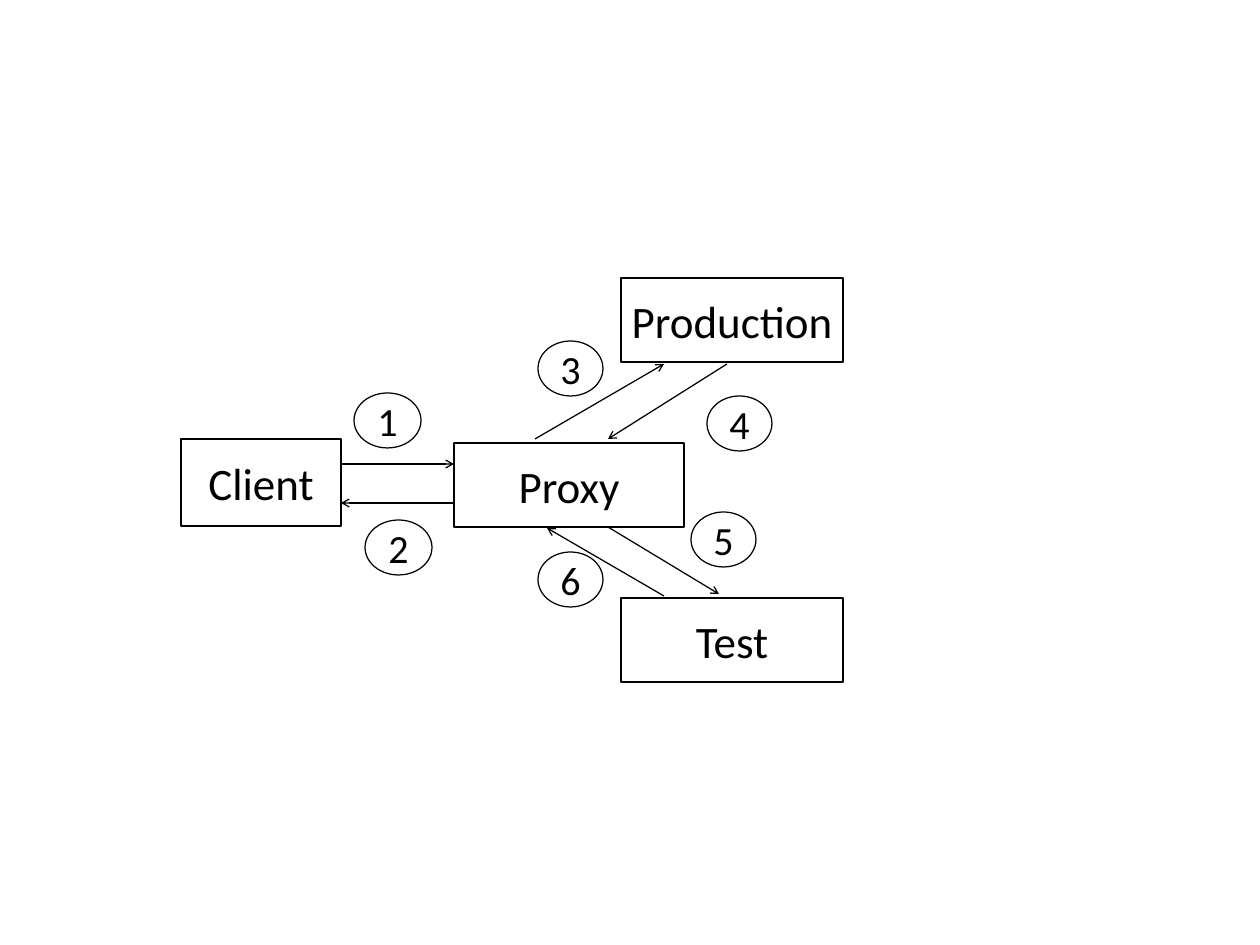
from lxml import etree
from pptx import Presentation
from pptx.dml.color import RGBColor
from pptx.enum.shapes import MSO_CONNECTOR, MSO_SHAPE
from pptx.enum.text import MSO_ANCHOR, PP_ALIGN
from pptx.oxml.ns import qn
from pptx.util import Pt

PX = 10160  # EMU per px, at 90 px to the inch
RECTANGLE, ELLIPSE = MSO_SHAPE.RECTANGLE, MSO_SHAPE.OVAL
STRAIGHT = MSO_CONNECTOR.STRAIGHT
MIDDLE, CENTER = MSO_ANCHOR.MIDDLE, PP_ALIGN.CENTER
COLORS = {"ink": "000000"}
INK = RGBColor.from_string(COLORS["ink"])

deck = Presentation()
deck.slide_width, deck.slide_height = 1260 * PX, 945 * PX
slide = deck.slides.add_slide(deck.slide_layouts[6])


def add_label(text, *, shape, left, top, width, height, size):
    """Add an unfilled outlined shape with centred text."""
    box = slide.shapes.add_shape(shape, left * PX, top * PX, width * PX, height * PX)
    box.shadow.inherit = False
    box.fill.background()
    box.line.color.rgb = INK
    box.line.width = Pt(1)
    frame = box.text_frame
    frame.word_wrap = True
    frame.margin_left = frame.margin_right = 0
    frame.vertical_anchor = MIDDLE
    para = frame.paragraphs[0]
    para.alignment = CENTER
    span = para.add_run()
    span.text = text
    span.font.name = "Calibri"
    span.font.size = Pt(size)
    span.font.color.rgb = INK


# Systems: name, left, top, width, height
systems = [
    ("Client", 181, 439, 160, 87),
    ("Proxy", 454, 443, 230, 84),
    ("Production", 621, 278, 222, 84),
    ("Test", 621, 598, 222, 84),
]
for name, left, top, width, height in systems:
    add_label(name, shape=RECTANGLE, left=left, top=top,
              width=width, height=height, size=36)

# Messages in step order: arrow start, arrow end, number's left, top, width
messages = [
    ((341, 464), (454, 464), 354, 393, 67),
    ((454, 503), (341, 503), 365, 520, 67),
    ((535, 439), (664, 364), 538, 341, 65),
    ((727, 364), (608, 439), 707, 396, 65),
    ((608, 527), (719, 594), 691, 512, 65),
    ((664, 596), (547, 528), 538, 552, 65),
]
for step, (start, end, left, top, width) in enumerate(messages, 1):
    arrow = slide.shapes.add_connector(
        STRAIGHT, *(value * PX for value in start + end))
    arrow.line.color.rgb = INK
    arrow.line.width = Pt(1)
    etree.SubElement(arrow.line._get_or_add_ln(), qn("a:tailEnd"), type="arrow")
    etree.SubElement(arrow._element.spPr, qn("a:effectLst"))
    add_label(str(step), shape=ELLIPSE, left=left, top=top,
              width=width, height=55, size=32)

deck.save("out.pptx")
